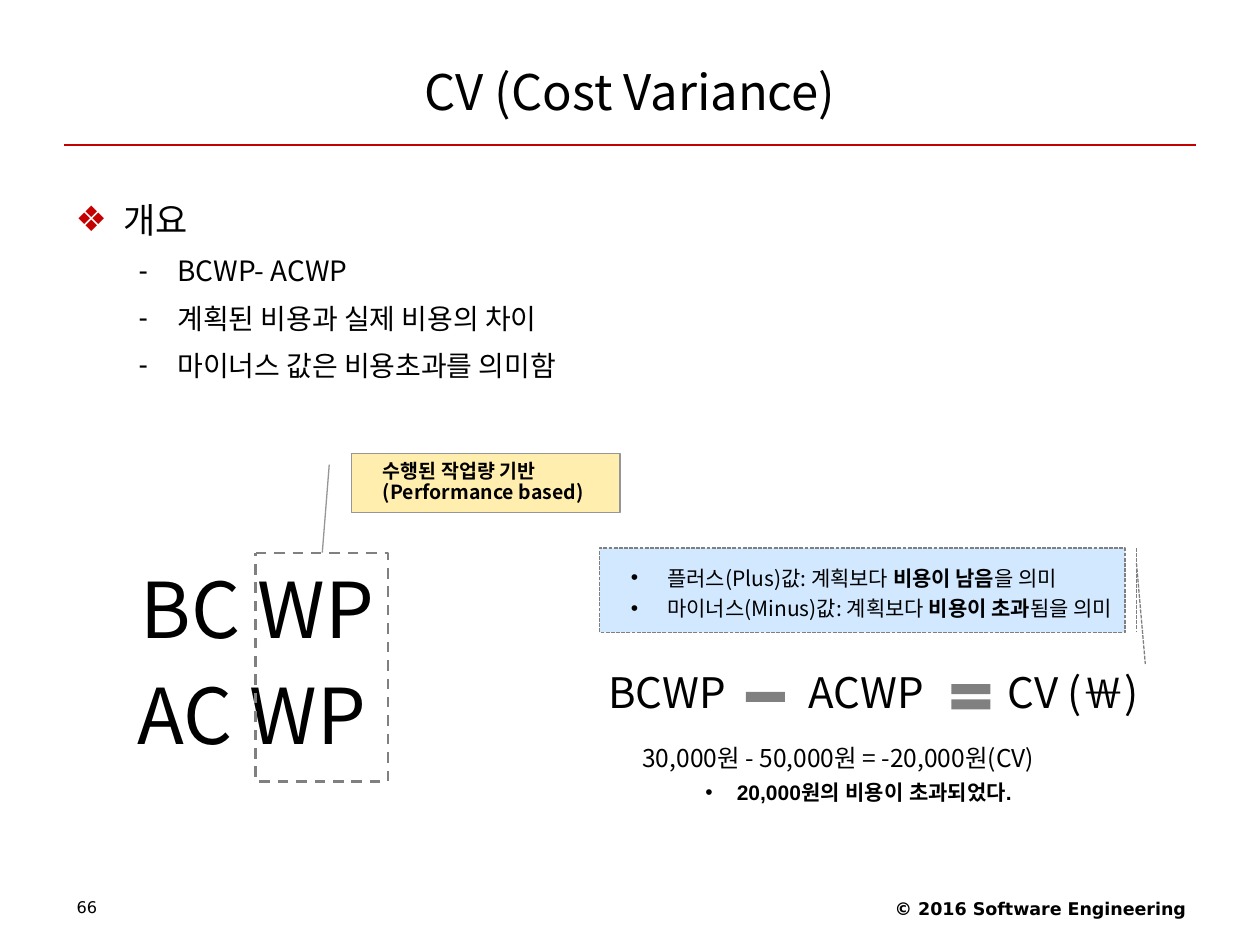
from dataclasses import dataclass

from lxml import etree
from pptx import Presentation
from pptx.dml.color import RGBColor
from pptx.enum.dml import MSO_LINE
from pptx.enum.shapes import MSO_CONNECTOR, MSO_SHAPE
from pptx.enum.text import MSO_ANCHOR, MSO_AUTO_SIZE, PP_ALIGN
from pptx.oxml.ns import qn
from pptx.util import Inches, Pt

DASH, DOT = MSO_LINE.DASH, MSO_LINE.SQUARE_DOT
RECT, FLOW = MSO_SHAPE.RECTANGLE, MSO_SHAPE.FLOWCHART_PROCESS
CALLOUT = MSO_SHAPE.LINE_CALLOUT_1
MIDDLE, TOP = MSO_ANCHOR.MIDDLE, MSO_ANCHOR.TOP
LEFT, CENTER, RIGHT = PP_ALIGN.LEFT, PP_ALIGN.CENTER, PP_ALIGN.RIGHT
NOTO, SANS, ARIAL = "Noto Sans CJK KR", "DejaVu Sans", "Arial"
BLACK, RED, GRAY = "000000", "C40000", "808080"


@dataclass
class Run:
    text: str
    bold: bool = False


@dataclass
class Para:
    runs: list[Run]
    size: float
    font: str = NOTO
    align: PP_ALIGN = LEFT
    level: int = 0
    indent: tuple[float, float] = (0, 0)
    spacing: float = 1.0
    before: float = 0
    bullet: str = ""
    tint: str = BLACK


@dataclass
class Label:
    box: tuple[float, float, float, float]
    paras: list[Para]
    wrap: bool = True


@dataclass
class Line:
    start: tuple[float, float]
    end: tuple[float, float]
    color: str = GRAY
    dash: MSO_LINE | None = None


def rgb(code: str) -> RGBColor:
    return RGBColor.from_string(code)


def inches(values) -> list:
    return [Inches(v) for v in values]


def add_bullet(props, mark: str, tint: str) -> None:
    if not mark:
        etree.SubElement(props, qn("a:buNone"))
        return
    color = etree.SubElement(props, qn("a:buClr"))
    etree.SubElement(color, qn("a:srgbClr"), val=tint)
    etree.SubElement(props, qn("a:buFont"), typeface=ARIAL)
    etree.SubElement(props, qn("a:buChar"), char=mark)


def write(frame, paras: list[Para], anchor=TOP, wrap: bool = True) -> None:
    style = {"word_wrap": wrap, "vertical_anchor": anchor,
             "auto_size": MSO_AUTO_SIZE.NONE if wrap
             else MSO_AUTO_SIZE.SHAPE_TO_FIT_TEXT}
    for name, value in style.items():
        setattr(frame, name, value)
    for i, spec_para in enumerate(paras):
        para = frame.paragraphs[0] if i == 0 else frame.add_paragraph()
        props = para._p.get_or_add_pPr()
        margin, first = inches(spec_para.indent)
        props.set("marL", str(margin))
        props.set("indent", str(first))
        add_bullet(props, spec_para.bullet, spec_para.tint)
        style = {"alignment": spec_para.align, "level": spec_para.level,
                 "line_spacing": spec_para.spacing,
                 "space_before": Pt(spec_para.before), "space_after": Pt(0)}
        for name, value in style.items():
            setattr(para, name, value)
        for part in spec_para.runs:
            run = para.add_run()
            run.text = part.text
            style = {"name": spec_para.font, "size": Pt(spec_para.size),
                     "bold": part.bold}
            for name, value in style.items():
                setattr(run.font, name, value)
            run.font.color.rgb = rgb(BLACK)
            etree.SubElement(run._r.get_or_add_rPr(), qn("a:ea"),
                             typeface=spec_para.font)


def fill_holder(holder, box, paras: list[Para], anchor=TOP) -> None:
    holder.left, holder.top, holder.width, holder.height = inches(box)
    write(holder.text_frame, paras, anchor)


def add_label(shapes, label: Label) -> None:
    box = shapes.add_textbox(*inches(label.box))
    write(box.text_frame, label.paras, wrap=label.wrap)


def add_box(shapes, kind, box, fill="", line="", width=0.75, dash=None):
    shape = shapes.add_shape(kind, *inches(box))
    shape.shadow.inherit = False
    if fill:
        shape.fill.solid()
        shape.fill.fore_color.rgb = rgb(fill)
    else:
        shape.fill.background()
    if line:
        shape.line.color.rgb = rgb(line)
        shape.line.width = Pt(width)
        shape.line.dash_style = dash
    else:
        shape.line.fill.background()
    return shape


def add_line(shapes, line: Line) -> None:
    link = shapes.add_connector(MSO_CONNECTOR.STRAIGHT,
                                *inches(line.start + line.end))
    link.line.color.rgb = rgb(line.color)
    link.line.width = Pt(0.75)
    link.line.dash_style = line.dash
    etree.SubElement(link._element.spPr, qn("a:effectLst"))


def main() -> None:
    deck = Presentation()
    deck.slide_width, deck.slide_height = Inches(10), Inches(7.5)
    slide = deck.slides.add_slide(deck.slide_layouts[1])
    shapes = slide.shapes

    fill_holder(shapes.title, (0.5, 0.3, 9, 0.85),
                [Para([Run("CV (Cost Variance)")], 28, align=CENTER)], MIDDLE)
    points = ["BCWP- ACWP", "계획된 비용과 실제 비용의 차이",
              "마이너스 값은 비용초과를 의미함"]
    topic = Para([Run("개요")], 20, indent=(0.38, -0.38), spacing=1.4,
                 bullet="❖", tint=RED)
    fill_holder(slide.placeholders[1], (0.5, 1.39, 9, 5.51),
                [topic] + [Para([Run(text)], 16, level=1, indent=(0.81, -0.31),
                                spacing=1.2, before=4, bullet="-")
                           for text in points])

    add_line(shapes, Line((0.51, 1.15), (9.49, 1.15), RED))

    labels = [
        Label((6.34, 7.08, 3.17, 0.29),
              [Para([Run("© 2016 Software Engineering", True)], 10, SANS, RIGHT)]),
        Label((0.51, 7.09, 2.33, 0.28), [Para([Run("66")], 9.2, SANS, spacing=0.9)]),
        Label((1.02, 4.41, 2.14, 0.84), [Para([Run("BC WP")], 44)], False),
        Label((0.99, 5.25, 2.17, 0.84), [Para([Run("AC WP")], 44)], False),
    ]
    terms = [("BCWP", 4.73, 1.17), ("ACWP", 6.32, 1.19), ("CV (￦)", 7.9, 1.44)]
    labels += [Label((x, 5.24, w, 0.5), [Para([Run(text)], 24)], False)
               for text, x, w in terms]
    labels.append(Label((4.5, 5.8, 4.57, 0.79), [
        Para([Run("30,000원 - 50,000원 = -20,000원(CV)")], 14, level=1,
             indent=(0.81, -0.31), spacing=1.2),
        Para([Run("20,000원의 비용이 초과되었다.", True)], 12, ARIAL, level=2,
             indent=(1.25, -0.25), spacing=1.1, before=3, bullet="•")]))
    for label in labels:
        add_label(shapes, label)

    add_box(shapes, FLOW, (2.03, 4.39, 1.05, 1.81), line=GRAY, width=1.5, dash=DASH)
    for x, y in [(5.92, 5.49), (7.55, 5.43), (7.55, 5.55)]:
        add_box(shapes, RECT, (x, y, 0.31, 0.08), GRAY)

    hang = (0.4, -0.25)
    basis = add_box(shapes, CALLOUT, (2.79, 3.6, 2.13, 0.47), "FFCC00", "969696")
    for i, value in enumerate((0.188, -0.083, 1.673, -0.109)):
        basis.adjustments[i] = value
    tint = basis._element.spPr.find(qn("a:solidFill")).find(qn("a:srgbClr"))
    etree.SubElement(tint, qn("a:alpha"), val="32000")
    write(basis.text_frame,
          [Para([Run(text, True)], 11.1, indent=hang, spacing=0.9)
           for text in ("수행된 작업량 기반", "(Performance based)")], MIDDLE)

    rules = [(" 플러스(Plus)값: 계획보다 ", "비용이 남음", "을 의미"),
             (" 마이너스(Minus)값: 계획보다 ", "비용이 초과", "됨을 의미")]
    meaning = add_box(shapes, RECT, (4.76, 4.35, 4.17, 0.67), "D1E8FF", GRAY, dash=DOT)
    write(meaning.text_frame,
          [Para([Run(lead), Run(key, True), Run(rest)], 12, indent=hang,
                spacing=1.2, bullet="•") for lead, key, rest in rules], MIDDLE)
    for start, end in [((9.02, 4.35), (9.02, 5.01)), ((9.02, 4.47), (9.09, 5.27))]:
        add_line(shapes, Line(start, end, dash=DOT))

    deck.save("out.pptx")


if __name__ == "__main__":
    main()
